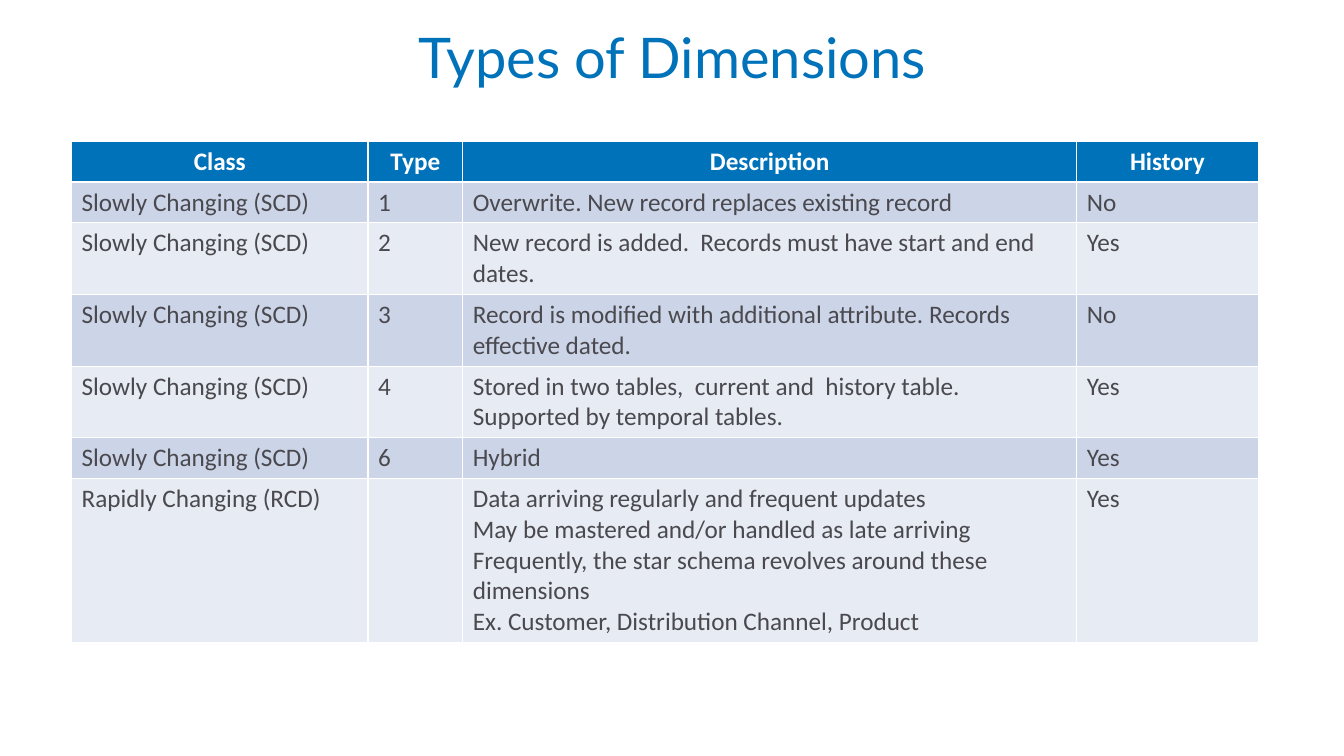
from pptx import Presentation
from pptx.dml.color import RGBColor
from pptx.enum.text import MSO_ANCHOR, MSO_AUTO_SIZE, PP_ALIGN
from pptx.util import Inches, Pt

LEFT, CENTER = PP_ALIGN.LEFT, PP_ALIGN.CENTER
TOP, NO_FIT = MSO_ANCHOR.TOP, MSO_AUTO_SIZE.NONE

BLUE = RGBColor(0x00, 0x72, 0xBA)
WHITE = RGBColor(0xFF, 0xFF, 0xFF)
GRAY = RGBColor(0x4A, 0x49, 0x4F)
BANDS = [RGBColor(0xCC, 0xD5, 0xE7), RGBColor(0xE7, 0xEB, 0xF3)]

SLIDE_W, SLIDE_H = 13.33, 7.5
TITLE_ONLY = 5
COLUMNS = [2.94, 0.94, 6.09, 1.8]
CELL_PAD, LINE_H = 0.1, 0.3

SCD = "Slowly Changing (SCD)"
HEADER = ("Class", "Type", "Description", "History")
# Each dimension: class, type, description, history, lines of text
DIMENSIONS = [
    (SCD, "1", "Overwrite. New record replaces existing record", "No", 1),
    (SCD, "2", "New record is added.  Records must have start and end dates.", "Yes", 2),
    (SCD, "3", "Record is modified with additional attribute. Records effective dated.", "No", 2),
    (SCD, "4", "Stored in two tables,  current and  history table.  "
               "Supported by temporal tables.", "Yes", 2),
    (SCD, "6", "Hybrid", "Yes", 1),
    ("Rapidly Changing (RCD)", "",
     "Data arriving regularly and frequent updates\n"
     "May be mastered and/or handled as late arriving\n"
     "Frequently, the star schema revolves around these dimensions\n"
     "Ex. Customer, Distribution Channel, Product", "Yes", 5),
]


def write(tf, text, font="Calibri", size=18, color=GRAY, bold=False,
          align=LEFT, spacing=1.0):
    tf.text = text
    for p in tf.paragraphs:
        p.alignment, p.line_spacing = align, spacing
        p.font.name, p.font.size = font, Pt(size)
        p.font.bold, p.font.color.rgb = bold, color


def add_title(s, text, left, top, width, height):
    sp = s.shapes.title
    sp.left, sp.top = Inches(left), Inches(top)
    sp.width, sp.height = Inches(width), Inches(height)
    tf = sp.text_frame
    tf.word_wrap, tf.auto_size, tf.vertical_anchor = True, NO_FIT, TOP
    write(tf, text, font="Lato", size=40, color=BLUE, align=CENTER, spacing=0.9)


def add_dimensions(s, left, top):
    heights = [CELL_PAD + LINE_H * n for n in [1] + [d[-1] for d in DIMENSIONS]]
    table = s.shapes.add_table(
        len(heights), len(COLUMNS), Inches(left), Inches(top),
        Inches(sum(COLUMNS)), Inches(sum(heights))).table
    for column, width in zip(table.columns, COLUMNS):
        column.width = Inches(width)
    for row, height in zip(table.rows, heights):
        row.height = Inches(height)

    # Header row, then alternating bands
    for i, values in enumerate([HEADER] + [d[:-1] for d in DIMENSIONS]):
        style = dict(color=WHITE, bold=True, align=CENTER) if i == 0 else {}
        for j, text in enumerate(values):
            cell = table.cell(i, j)
            cell.fill.solid()
            cell.fill.fore_color.rgb = BANDS[(i - 1) % 2] if i else BLUE
            write(cell.text_frame, text, **style)


def main():
    prs = Presentation()
    prs.slide_width, prs.slide_height = Inches(SLIDE_W), Inches(SLIDE_H)
    s = prs.slides.add_slide(prs.slide_layouts[TITLE_ONLY])
    add_title(s, "Types of Dimensions", 0.99, 0.25, 11.35, 0.8)
    add_dimensions(s, 0.71, 1.4)
    prs.save("out.pptx")


if __name__ == "__main__":
    main()
